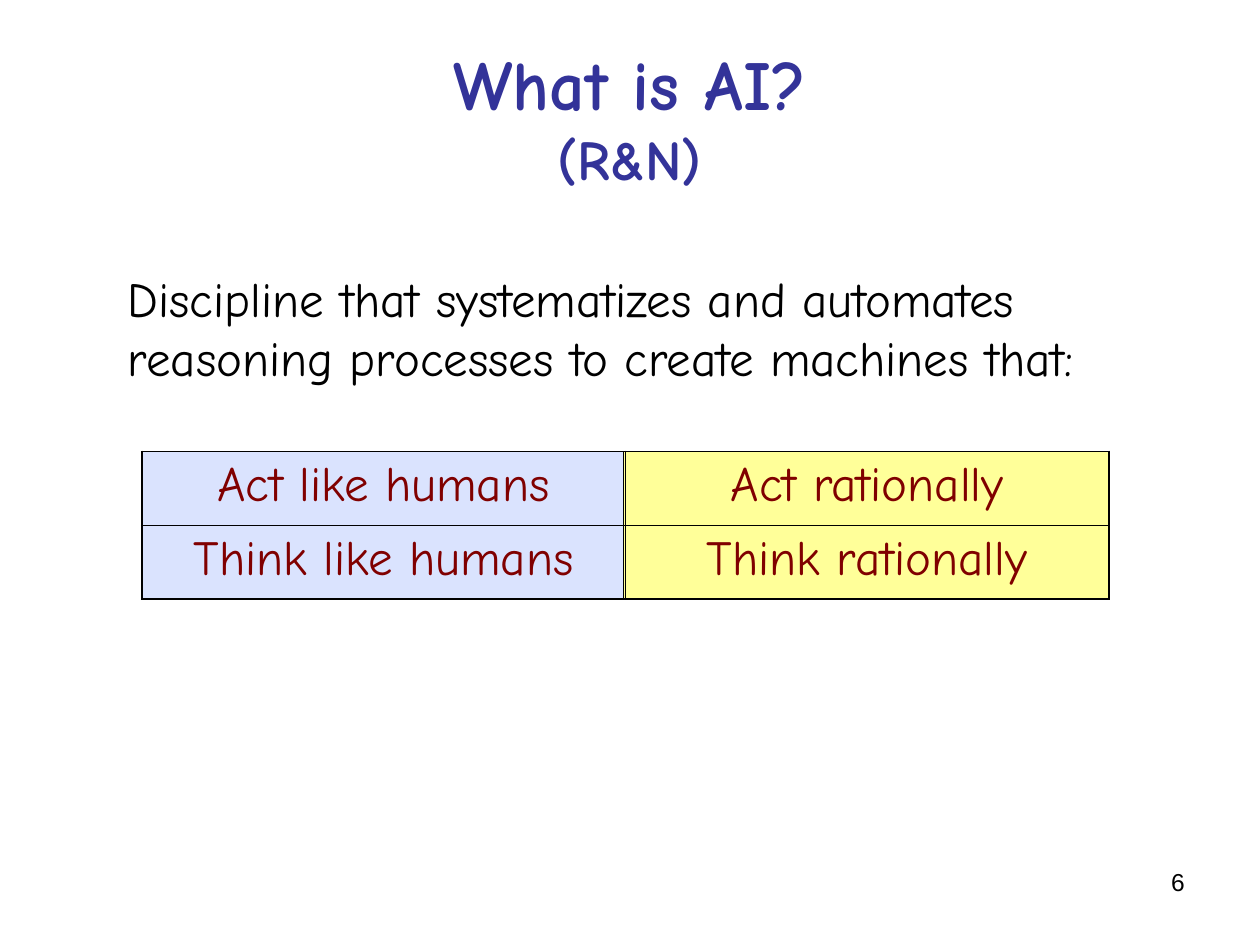
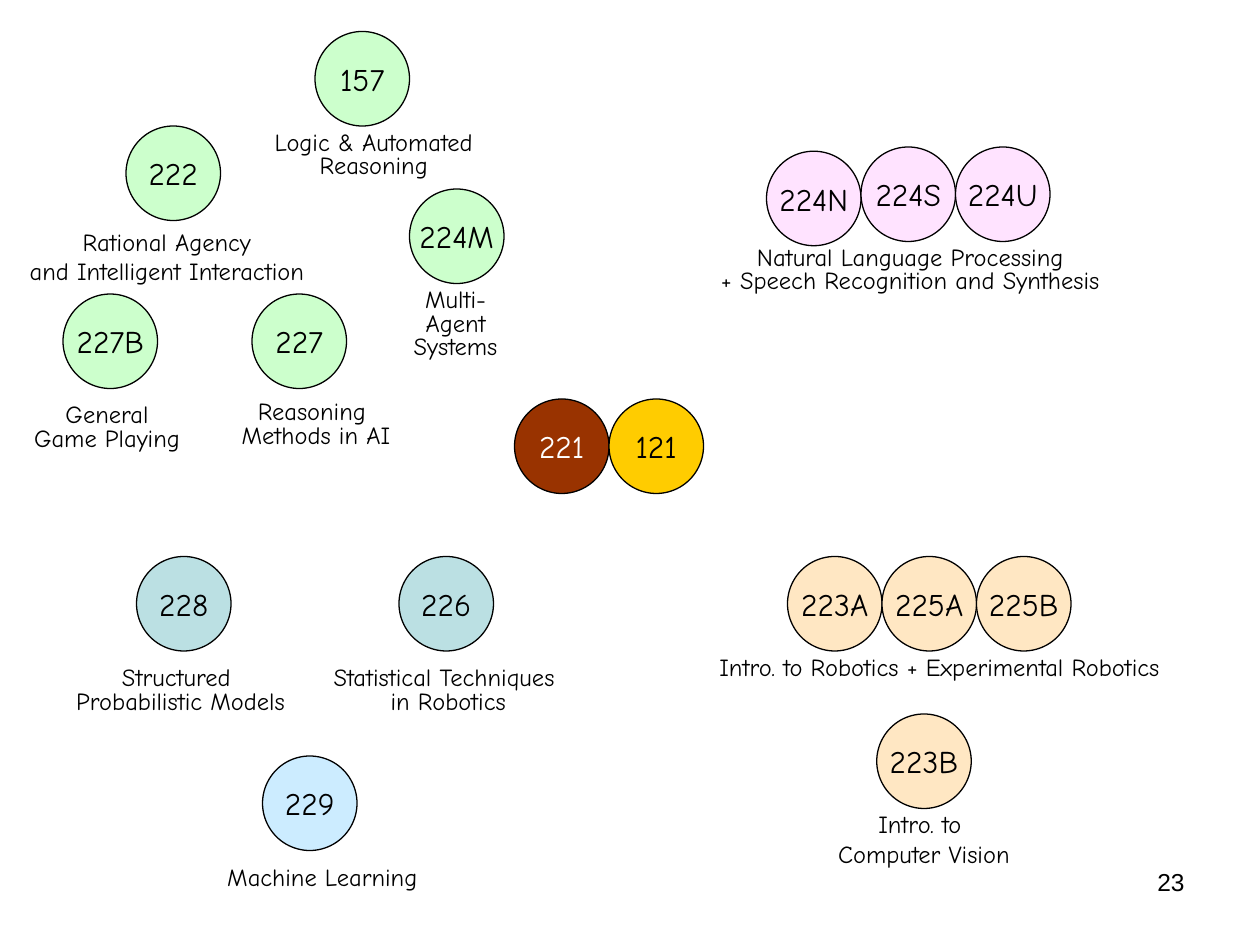
from copy import deepcopy
from dataclasses import dataclass
from typing import Any

from lxml.etree import SubElement as Sub
from pptx import Presentation
from pptx.dml.color import RGBColor as Rgb
from pptx.enum.shapes import MSO_SHAPE as Kind
from pptx.enum.text import MSO_ANCHOR as Anchor, MSO_AUTO_SIZE as Fit, PP_ALIGN as Align
from pptx.oxml.ns import qn
from pptx.util import Inches, Pt

# Grid: 120 columns by 90 rows on a 10 by 7.5 inch slide
WIDE, HIGH = Inches(10), Inches(7.5)
COLS, ROWS = 120, 90
DISC = 9  # width of a course circle, in grid units


@dataclass(frozen=True)
class Theme:
    font: str = "Comic Neue"
    plain: str = "Arial"
    ink: str = "000000"
    white: str = "FFFFFF"
    title: str = "333399"
    maroon: str = "800000"
    blue: str = "DAE3FE"
    yellow: str = "FFFF99"
    green: str = "CCFFCC"
    pink: str = "FFE3FF"
    peach: str = "FFE7C3"
    teal: str = "BBE0E3"
    sky: str = "CCECFF"
    rust: str = "993300"
    gold: str = "FFCC00"
    head: float = 40
    sub: float = 32
    body: float = 28
    code: float = 18
    small: float = 14
    line: float = 0.75
    outer: float = 1.08
    inner: float = 0.45


T = Theme()


@dataclass(frozen=True)
class Box:
    col: float
    row: float
    wide: float
    high: float

    def place(self) -> tuple[int, int, int, int]:
        return (round(self.col * WIDE / COLS), round(self.row * HIGH / ROWS),
                round(self.wide * WIDE / COLS), round(self.high * HIGH / ROWS))


@dataclass(frozen=True)
class Chain:
    """Touching circles, laid from left to right."""
    col: float
    row: float
    fill: str
    codes: tuple[str, ...]
    ink: str = T.ink


@dataclass(frozen=True)
class Label:
    """Caption centred on a column; \v breaks a line, \n a paragraph."""
    mid: float
    row: float
    wide: float
    text: str
    high: float = 5.8
    tight: bool = True


TIGHT = {"line_spacing": 0.8, "space_before": Pt(3.5)}
BEFORE = {"space_before": Pt(7)}

CHAINS = (
    Chain(13, 53, T.teal, ("228",)),
    Chain(49, 38, T.rust, ("221",), T.white),
    Chain(58, 38, T.gold, ("121",)),
    Chain(12, 12, T.green, ("222",)),
    Chain(24, 28, T.green, ("227",)),
    Chain(39, 18, T.green, ("224M",)),
    Chain(73, 14.4, T.pink, ("224N",)),
    Chain(82, 14, T.pink, ("224S", "224U")),
    Chain(75, 53, T.peach, ("223A", "225A", "225B")),
    Chain(83.5, 68, T.peach, ("223B",)),
    Chain(6, 28, T.green, ("227B",)),
    Chain(38, 53, T.teal, ("226",)),
    Chain(25, 72, T.sky, ("229",)),
    Chain(30, 3, T.green, ("157",)),
)

LABELS = (
    Label(30.1, 37.7, 16.6, "Reasoning \vMethods in AI"),
    Label(15.9, 21, 28.7, "Rational Agency\nand Intelligent Interaction", 6.8, False),
    Label(43.4, 27, 13.9, "Multi-Agent\vSystems"),
    Label(86.7, 23, 38.5, "Natural Language Processing\v+ Speech Recognition and Synthesis"),
    Label(89.5, 62, 44.6, "Intro. to Robotics + Experimental Robotics", 3.5),
    Label(88, 77, 18.8, "Intro. to \nComputer Vision", 6.2),
    Label(10.2, 38, 16.3, "General\vGame Playing"),
    Label(42.7, 63, 24.5, "Statistical Techniques \vin Robotics"),
    Label(30.7, 82, 20.5, "Machine Learning", 3.5),
    Label(17.2, 63, 22.3, "Structured \vProbabilistic Models"),
    Label(35.6, 12, 21.5, "Logic & Automated\vReasoning"),
)


def apply(item: Any, form: dict[str, Any]) -> None:
    for key, value in form.items():
        setattr(item, key, value)


def style(run: Any, size: float, ink: str, name: str = T.font, bold: bool = False) -> None:
    apply(run.font, {"size": Pt(size), "name": name, "bold": bold})
    run.font.color.rgb = Rgb.from_string(ink)


def write(frame: Any, text: str, size: float, ink: str = T.ink, align: Any = Align.CENTER,
          name: str = T.font, bold: bool = False, form: dict[str, Any] | None = None) -> None:
    frame.text = text
    for para in frame.paragraphs:
        apply(para, {"alignment": align, **(form or {})})
        for run in para.runs:
            style(run, size, ink, name, bold)
        # Line breaks take the size of the text around them
        for gap in para._p.findall(qn("a:br")):
            gap.insert(0, deepcopy(para._p.find(qn("a:r")).find(qn("a:rPr"))))


def frame_at(slide: Any, box: Box, wrap: bool = True, **form: Any) -> Any:
    frame = slide.shapes.add_textbox(*box.place()).text_frame
    apply(frame, {"word_wrap": wrap, **form})
    return frame


def draw_shape(slide: Any, kind: Any, box: Box, fill: str) -> Any:
    shape = slide.shapes.add_shape(kind, *box.place())
    shape.shadow.inherit = False
    shape.fill.solid()
    shape.fill.fore_color.rgb = Rgb.from_string(fill)
    shape.line.color.rgb = Rgb.from_string(T.ink)
    shape.line.width = Pt(T.line)
    return shape


def draw_chain(slide: Any, chain: Chain) -> None:
    for step, code in enumerate(chain.codes):
        box = Box(chain.col + step * DISC, chain.row, DISC, DISC)
        frame = draw_shape(slide, Kind.OVAL, box, chain.fill).text_frame
        apply(frame, {"word_wrap": False, "vertical_anchor": Anchor.MIDDLE})
        write(frame, code, T.code, chain.ink)


def draw_label(slide: Any, label: Label) -> None:
    box = Box(label.mid - label.wide / 2, label.row, label.wide, label.high)
    frame = frame_at(slide, box, False, auto_size=Fit.SHAPE_TO_FIT_TEXT)
    write(frame, label.text, T.small, form=TIGHT if label.tight else None)


def edge(cell: Any, widths: dict[str, float]) -> None:
    props = cell._tc.get_or_add_tcPr()
    for place, (side, width) in enumerate(widths.items()):
        line = props.makeelement(qn(f"a:{side}"), {"w": str(Pt(width))})
        Sub(Sub(line, qn("a:solidFill")), qn("a:srgbClr"), val=T.ink)
        props.insert(place, line)


def draw_table(slide: Any, box: Box, words: tuple[tuple[str, ...], ...]) -> None:
    high, wide = len(words), len(words[0])
    table = slide.shapes.add_table(high, wide, *box.place()).table
    apply(table, {"first_row": False, "horz_banding": False})
    for r, line in enumerate(words):
        for c, text in enumerate(line):
            cell = table.cell(r, c)
            cell.fill.background()
            write(cell.text_frame, text, T.body, T.maroon, form=BEFORE)
            rims = {"lnL": c == 0, "lnR": c == wide - 1, "lnT": r == 0, "lnB": r == high - 1}
            edge(cell, {side: T.outer if rim else T.inner for side, rim in rims.items()})


def new_slide(deck: Any, page: str) -> Any:
    slide = deck.slides.add_slide(deck.slide_layouts[6])
    write(frame_at(slide, Box(86, 82, 28, 6.25)), page, T.small,
          align=Align.RIGHT, name=T.plain)
    return slide


def define(deck: Any) -> None:
    slide = new_slide(deck, "6")
    # Colour panels behind the table
    draw_shape(slide, Kind.RECTANGLE, Box(13.5, 43, 45.9, 14), T.blue)
    draw_shape(slide, Kind.RECTANGLE, Box(59.4, 43, 46.2, 14), T.yellow)
    draw_table(slide, Box(13.5, 43, 92.1, 14.1), (
        ("Act like humans", "Act rationally"),
        ("Think like humans", "Think rationally")))
    # Title and lead sentence
    frame = frame_at(slide, Box(6, 3.6, 108, 15), vertical_anchor=Anchor.MIDDLE)
    write(frame, "What is AI?\v(R&N)", T.head, T.title, bold=True)
    frame.paragraphs[0].runs[1].font.size = Pt(T.sub)
    write(frame_at(slide, Box(11, 25, 103, 54)),
          "Discipline that systematizes and automates reasoning processes "
          "to create machines that:", T.body, align=Align.LEFT, form=BEFORE)


def courses(deck: Any) -> None:
    slide = new_slide(deck, "23")
    for chain in CHAINS:
        draw_chain(slide, chain)
    for label in LABELS:
        draw_label(slide, label)


def main() -> None:
    deck = Presentation()
    apply(deck, {"slide_width": WIDE, "slide_height": HIGH})
    define(deck)
    courses(deck)
    deck.save("out.pptx")


if __name__ == "__main__":
    main()
